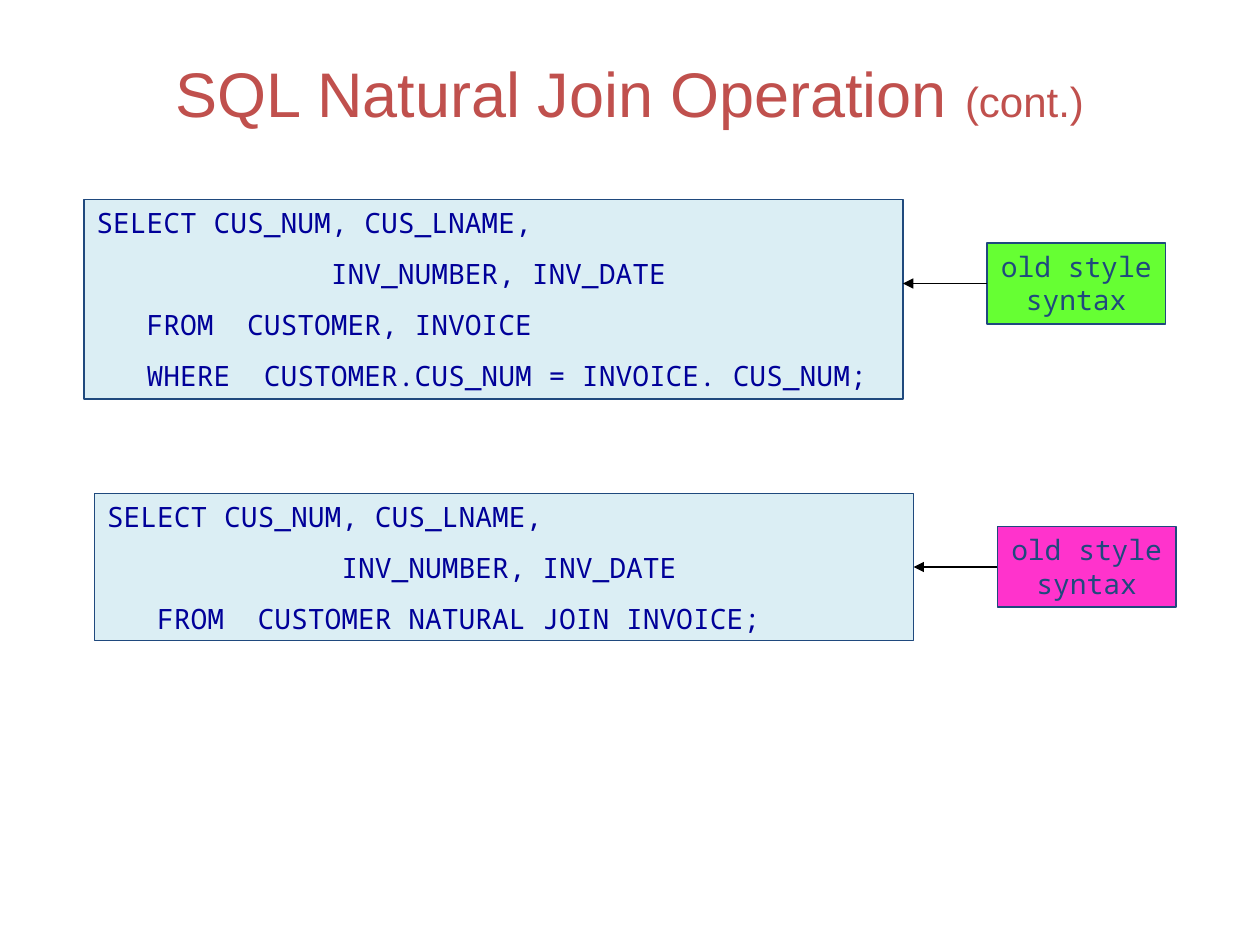
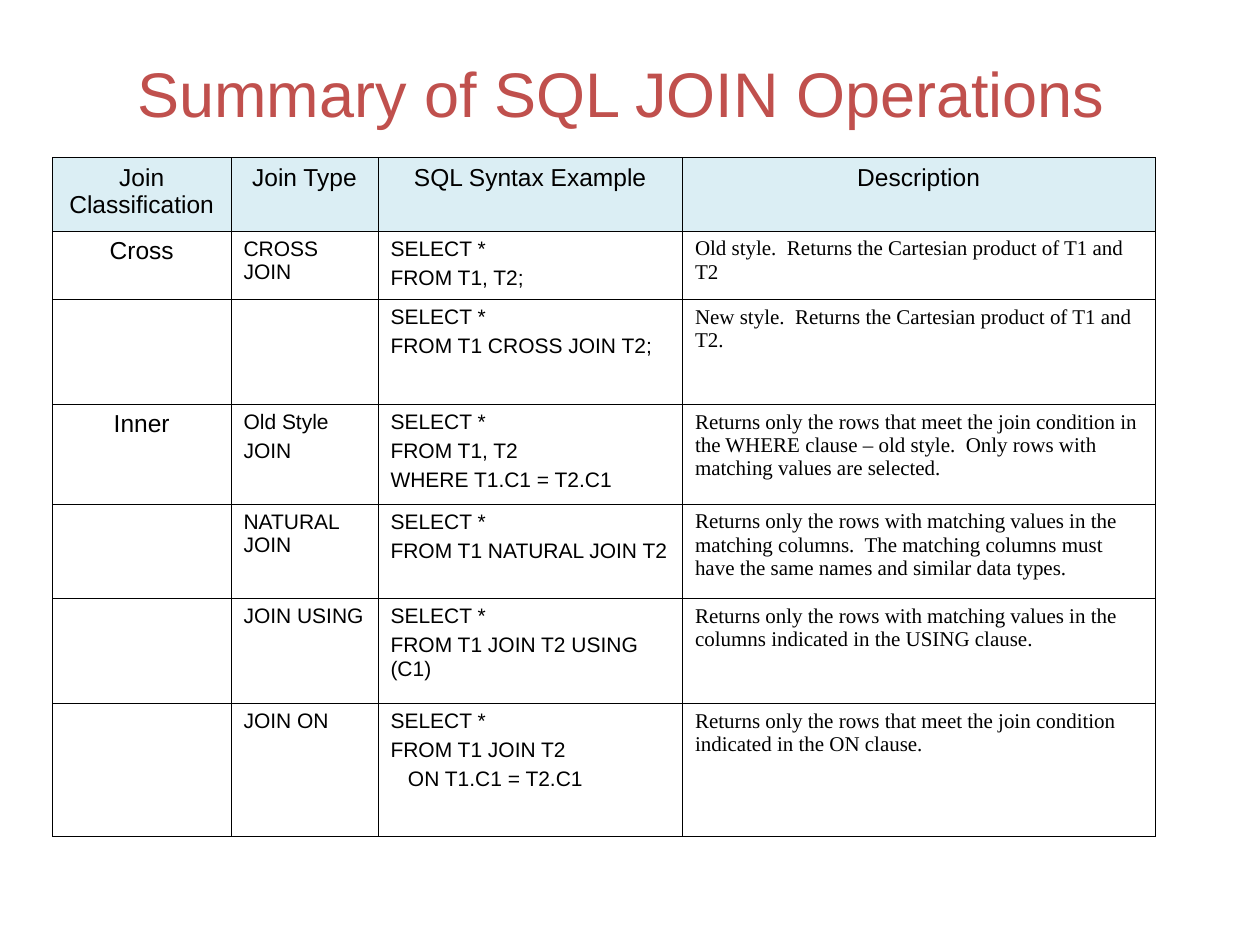
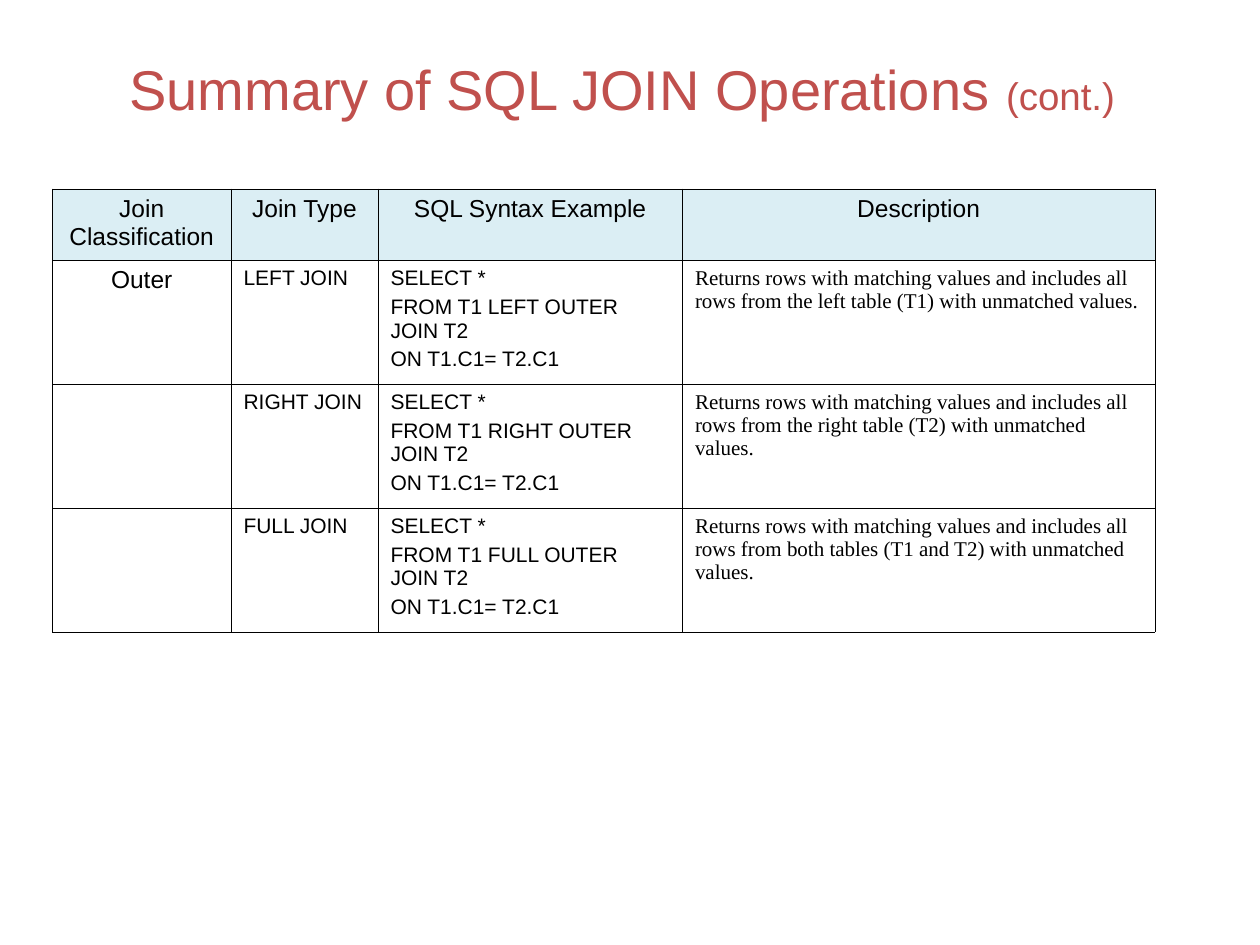
from dataclasses import dataclass

from lxml import etree
from pptx import Presentation, util as u
from pptx.dml.color import RGBColor
from pptx.enum import shapes, text
from pptx.oxml import ns

TITLE_RED = RGBColor(0xC0, 0x50, 0x4D)
PALE_BLUE = RGBColor(0xDB, 0xEE, 0xF4)
OUTLINE_BLUE = RGBColor(0x1F, 0x49, 0x7D)
CODE_BLUE = RGBColor(0x00, 0x00, 0x99)
GREEN = RGBColor(0x66, 0xFF, 0x33)
PINK = RGBColor(0xFF, 0x33, 0xCC)
BLACK = RGBColor(0, 0, 0)

SANS, SERIF, MONO = "Arial", "Times New Roman", "Noto Sans Mono"
LEFT, CENTER = text.PP_ALIGN.LEFT, text.PP_ALIGN.CENTER

SLIDE_WIDTH, SLIDE_HEIGHT = u.Inches(10), u.Inches(7.5)
GRID_COLUMNS, GRID_ROWS = 120, 90

CODE_WIDTH = 78
LABEL_WIDTH, LABEL_HEIGHT = 17, 7.7
LABEL_GAP = 8
LABEL_TEXT = "old style syntax"

TABLE_LEFT = 5
TABLE_COLUMNS = (17, 14, 29, 45)
TABLE_HEADER = ("Join Classification", "Join Type", "SQL Syntax Example", "Description")
BORDER_WIDTH = u.Pt(0.45)


@dataclass(frozen=True)
class TextStyle:
    font: str
    size: float
    color: RGBColor
    alignment: text.PP_ALIGN = LEFT
    space_before: float = 0


@dataclass(frozen=True)
class Box:
    left: float
    top: float
    width: float
    height: float


@dataclass(frozen=True)
class Example:
    left: float
    top: float
    height: float
    arrow_row: float
    label_color: RGBColor
    code: str


@dataclass(frozen=True)
class JoinTable:
    top: float
    row_heights: tuple[float, ...]
    rows: tuple[tuple[str, ...], ...]


CODE_STYLE = TextStyle(MONO, 16, CODE_BLUE, space_before=10)
LABEL_STYLE = TextStyle(MONO, 16, OUTLINE_BLUE, CENTER)
HEADING_STYLE = TextStyle(SANS, 14, BLACK, CENTER)
SYNTAX_STYLE = TextStyle(SANS, 12, BLACK, space_before=3)
DESCRIPTION_STYLE = TextStyle(SERIF, 12, BLACK)
COLUMN_STYLES = (HEADING_STYLE, SYNTAX_STYLE, SYNTAX_STYLE, DESCRIPTION_STYLE)

EXAMPLES = (
    Example(8, 19, 19, 27, GREEN,
            "SELECT CUS_NUM, CUS_LNAME,\n"
            "              INV_NUMBER, INV_DATE\n"
            "   FROM  CUSTOMER, INVOICE\n"
            "   WHERE  CUSTOMER.CUS_NUM = INVOICE. CUS_NUM;"),
    Example(9, 47, 14, 54, PINK,
            "SELECT CUS_NUM, CUS_LNAME,\n"
            "              INV_NUMBER, INV_DATE\n"
            "   FROM  CUSTOMER NATURAL JOIN INVOICE;"),
)

CROSS_AND_INNER = JoinTable(15, (7, 6.5, 10, 9.5, 9, 10, 12.7), (
    ("Cross", "CROSS JOIN", "SELECT *\nFROM T1, T2;",
     "Old style.  Returns the Cartesian product of T1 and T2"),
    ("", "", "SELECT *\nFROM T1 CROSS JOIN T2;",
     "New style.  Returns the Cartesian product of T1 and T2."),
    ("Inner", "Old Style\nJOIN", "SELECT *\nFROM T1, T2\nWHERE T1.C1 = T2.C1",
     "Returns only the rows that meet the join condition in the WHERE clause – old style.  "
     "Only rows with matching values are selected."),
    ("", "NATURAL JOIN", "SELECT *\nFROM T1 NATURAL JOIN T2",
     "Returns only the rows with matching values in the matching columns.  "
     "The matching columns must have the same names and similar data types."),
    ("", "JOIN USING", "SELECT *\nFROM T1 JOIN T2 USING (C1)",
     "Returns only the rows with matching values in the columns indicated in the USING clause."),
    ("", "JOIN ON", "SELECT *\nFROM T1 JOIN T2\n   ON T1.C1 = T2.C1",
     "Returns only the rows that meet the join condition indicated in the ON clause."),
))


def outer_row(classification: str, side: str, source: str) -> tuple[str, ...]:
    return (classification, f"{side} JOIN",
            f"SELECT *\nFROM T1 {side} OUTER JOIN T2\nON T1.C1= T2.C1",
            f"Returns rows with matching values and includes all rows from {source} "
            "with unmatched values.")


OUTER = JoinTable(18, (6.8, 11.8, 11.8, 11.8), (
    outer_row("Outer", "LEFT", "the left table (T1)"),
    outer_row("", "RIGHT", "the right table (T2)"),
    outer_row("", "FULL", "both tables (T1 and T2)"),
))


def across(columns: float) -> int:
    return round(SLIDE_WIDTH * columns / GRID_COLUMNS)


def down(rows: float) -> int:
    return round(SLIDE_HEIGHT * rows / GRID_ROWS)


def place(box: Box) -> tuple[int, int, int, int]:
    return across(box.left), down(box.top), across(box.width), down(box.height)


TITLE_BOX = Box(9, 4, 102, 9)


def write(frame, content: str, style: TextStyle) -> None:
    for index, line in enumerate(content.split("\n")):
        paragraph = frame.add_paragraph() if index else frame.paragraphs[0]
        paragraph.text = line
        paragraph.alignment = style.alignment
        paragraph.space_before = u.Pt(style.space_before if index else 0)
        paragraph.font.name = style.font
        paragraph.font.size = u.Pt(style.size)
        paragraph.font.color.rgb = style.color


def add_titled_slide(presentation, *parts: tuple[str, float]):
    slide = presentation.slides.add_slide(presentation.slide_layouts[5])
    title = slide.shapes.title
    title.left, title.top, title.width, title.height = place(TITLE_BOX)
    frame = title.text_frame
    frame.auto_size = text.MSO_AUTO_SIZE.NONE
    frame.vertical_anchor = text.MSO_ANCHOR.TOP
    frame.margin_top = u.Inches(0.1)
    paragraph = frame.paragraphs[0]
    paragraph.alignment = CENTER
    paragraph.font.name = SANS
    paragraph.font.color.rgb = TITLE_RED
    for words, size in parts:
        run = paragraph.add_run()
        run.text = words
        run.font.size = u.Pt(size)
    return slide


def add_box(slide, box: Box, fill: RGBColor, content: str, style: TextStyle):
    shape = slide.shapes.add_shape(shapes.MSO_SHAPE.RECTANGLE, *place(box))
    shape.shadow.inherit = False
    shape.fill.solid()
    shape.fill.fore_color.rgb = fill
    shape.line.color.rgb = OUTLINE_BLUE
    shape.line.width = u.Pt(1)
    shape.text_frame.word_wrap = True
    shape.text_frame.vertical_anchor = text.MSO_ANCHOR.TOP
    write(shape.text_frame, content, style)
    return shape


def add_example(slide, example: Example) -> None:
    code_right = example.left + CODE_WIDTH
    label_left = code_right + LABEL_GAP
    code = add_box(slide, Box(example.left, example.top, CODE_WIDTH, example.height),
                   PALE_BLUE, example.code, CODE_STYLE)
    label = add_box(slide, Box(label_left, example.arrow_row - LABEL_HEIGHT / 2,
                               LABEL_WIDTH, LABEL_HEIGHT),
                    example.label_color, LABEL_TEXT, LABEL_STYLE)
    arrow_y = down(example.arrow_row)
    arrow = slide.shapes.add_connector(shapes.MSO_CONNECTOR.STRAIGHT,
                                       across(label_left), arrow_y, across(code_right), arrow_y)
    arrow.begin_connect(label, 1)
    if example.arrow_row == example.top + example.height / 2:
        arrow.end_connect(code, 3)
    arrow.line.color.rgb = BLACK
    arrow.line.width = u.Pt(1)
    etree.SubElement(arrow.line._get_or_add_ln(), ns.qn("a:tailEnd"), type="triangle")
    etree.SubElement(arrow._element.spPr, ns.qn("a:effectLst"))


def add_borders(cell) -> None:
    properties = cell._tc.get_or_add_tcPr()
    for side in ("lnL", "lnR", "lnT", "lnB"):
        line = etree.SubElement(properties, ns.qn(f"a:{side}"), w=str(int(BORDER_WIDTH)))
        fill = etree.SubElement(line, ns.qn("a:solidFill"))
        etree.SubElement(fill, ns.qn("a:srgbClr"), val=str(BLACK))


def add_join_table(slide, joins: JoinTable) -> None:
    box = Box(TABLE_LEFT, joins.top, sum(TABLE_COLUMNS), sum(joins.row_heights))
    rows = (TABLE_HEADER, *joins.rows)
    table = slide.shapes.add_table(len(rows), len(TABLE_COLUMNS), *place(box)).table
    table.first_row = table.horz_banding = False
    for column, width in zip(table.columns, TABLE_COLUMNS):
        column.width = across(width)
    for row_index, (row, height) in enumerate(zip(rows, joins.row_heights)):
        table.rows[row_index].height = down(height)
        for column_index, content in enumerate(row):
            cell = table.cell(row_index, column_index)
            add_borders(cell)
            if row_index == 0:
                cell.fill.solid()
                cell.fill.fore_color.rgb = PALE_BLUE
            else:
                cell.fill.background()
            if content:
                style = COLUMN_STYLES[column_index] if row_index else HEADING_STYLE
                write(cell.text_frame, content, style)


def main() -> None:
    presentation = Presentation()
    presentation.slide_width, presentation.slide_height = SLIDE_WIDTH, SLIDE_HEIGHT

    slide = add_titled_slide(presentation, ("SQL Natural Join Operation ", 36), ("(cont.)", 24))
    for example in EXAMPLES:
        add_example(slide, example)

    slide = add_titled_slide(presentation, ("Summary of SQL JOIN Operations ", 36))
    add_join_table(slide, CROSS_AND_INNER)

    slide = add_titled_slide(presentation, ("Summary of SQL JOIN Operations ", 32),
                             ("(cont.)", 22), (" ", 32))
    add_join_table(slide, OUTER)

    presentation.save("out.pptx")


if __name__ == "__main__":
    main()
